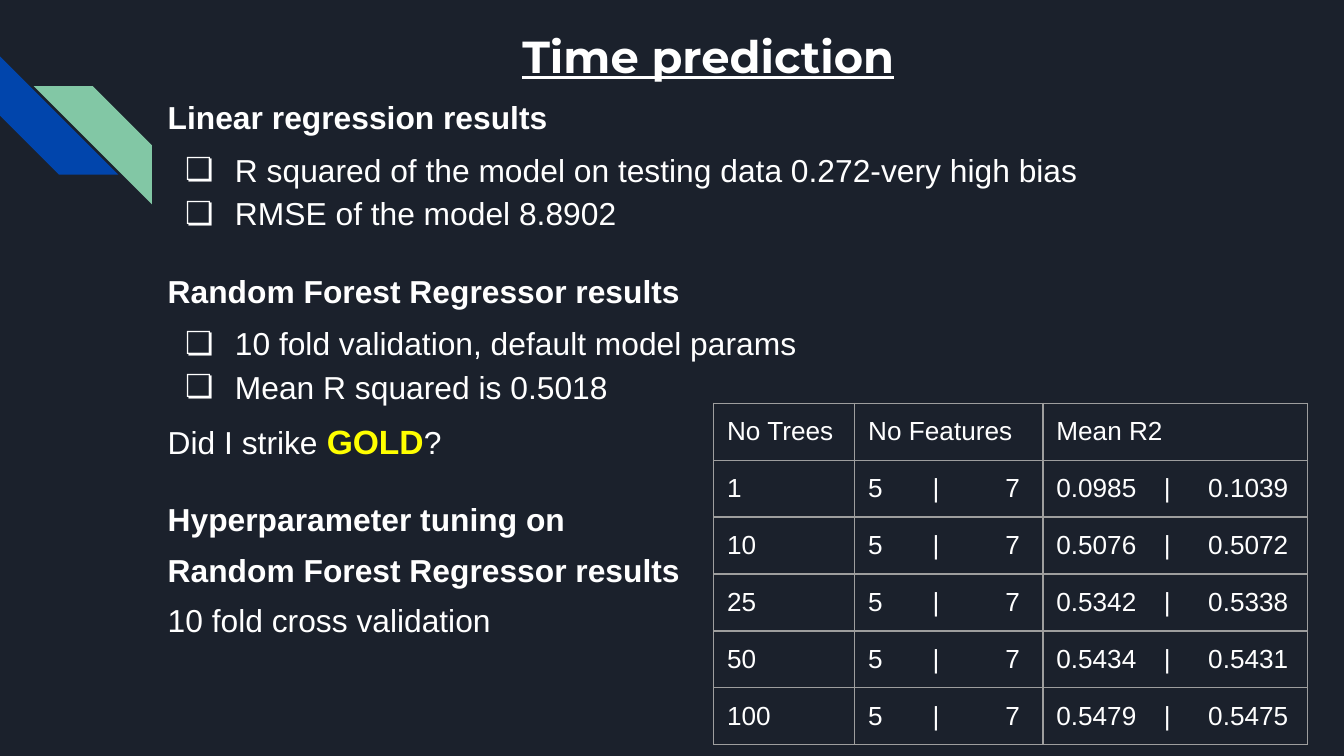
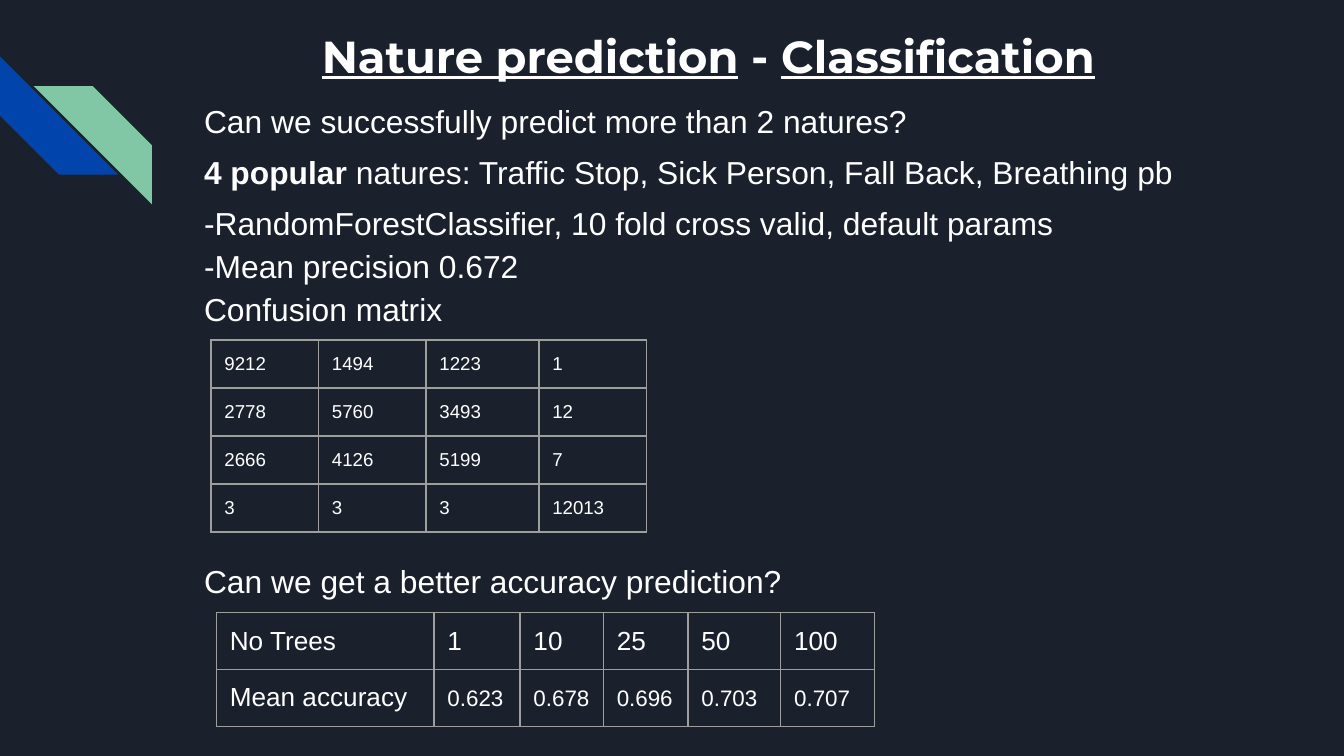
from lxml.etree import SubElement
from pptx import Presentation
from pptx.dml.color import RGBColor as Rgb
from pptx.enum.shapes import MSO_SHAPE as Preset
from pptx.enum.text import PP_ALIGN as Align
from pptx.oxml.ns import qn
from pptx.util import Inches, Pt

COLOURS = {
    "background": "1B212C",
    "text": "FFFFFF",
    "gold": "FFFF00",
    "blue": "0145AC",
    "green": "82C7A5",
    "border": "9E9E9E",
}
BODY = {"name": "Arial", "size": Pt(17), "bold": False}
HEADING = {"bold": True}
TITLE = {"name": "Montserrat", "size": Pt(24), "bold": True, "underline": True}
INSET = 0.1


def colour(name):
    return Rgb.from_string(COLOURS[name])


def set_values(target, values):
    for name, value in values.items():
        setattr(target, name, value)


def set_insets(target, bottom=INSET):
    for side in ("left", "top", "right"):
        setattr(target, f"margin_{side}", Inches(INSET))
    target.margin_bottom = Inches(bottom)


# Text: a line is a list of (text, format) spans
def write_spans(para, spans, base):
    for text, changes in spans:
        span = para.add_run()
        span.text = text
        values = {**base, **changes}
        span.font.color.rgb = colour(values.pop("colour", "text"))
        set_values(span.font, values)


def add_bullet(para):
    props = para._p.get_or_add_pPr()
    props.set("marL", str(Inches(0.5)))
    props.set("indent", str(Inches(-0.37)))
    bullet_colour = SubElement(props, qn("a:buClr"))
    SubElement(bullet_colour, qn("a:srgbClr"), val=COLOURS["text"])
    SubElement(props, qn("a:buSzPts"), val="1700")
    SubElement(props, qn("a:buFont"), typeface=BODY["name"])
    SubElement(props, qn("a:buChar"), char="❏")


def add_tabs(para, stops):
    tabs = SubElement(para._p.get_or_add_pPr(), qn("a:tabLst"))
    for stop in stops:
        SubElement(tabs, qn("a:tab"), pos=str(Inches(stop)), algn="l")


def add_text(page, box, lines, base=BODY):
    """Each line is (spans, paragraph format, bulleted)."""
    frame = page.shapes.add_textbox(*map(Inches, box)).text_frame
    frame.word_wrap = True
    set_insets(frame)
    for index, (spans, layout, bulleted) in enumerate(lines):
        para = frame.add_paragraph() if index else frame.paragraphs[0]
        set_values(para, layout)
        if bulleted:
            add_bullet(para)
        write_spans(para, spans, base)


def line(text, spacing=1.13, before=0, bulleted=False, **changes):
    spans = [(text, changes)] if isinstance(text, str) else text
    layout = {"line_spacing": spacing}
    if before:
        layout["space_before"] = Pt(before)
    return spans, layout, bulleted


def bullets(*texts):
    return [line(text, 1.14, 0 if index else 5, True)
            for index, text in enumerate(texts)]


# Tables
def style_cell(cell):
    set_insets(cell, bottom=0.09)
    props = cell._tc.get_or_add_tcPr()
    for side in ("L", "R", "T", "B"):
        edge = SubElement(props, qn(f"a:ln{side}"), w=str(Pt(0.75)))
        fill = SubElement(edge, qn("a:solidFill"))
        SubElement(fill, qn("a:srgbClr"), val=COLOURS["border"])
    cell.fill.background()


def add_grid(page, left, top, widths, row_height, rows, size, tab_stops=None,
             number_size=None):
    """number_size applies to the cells right of the label in the last row."""
    grid = page.shapes.add_table(
        len(rows), len(widths), Inches(left), Inches(top),
        Inches(sum(widths)), Inches(row_height * len(rows))).table
    set_values(grid, {"first_row": False, "horz_banding": False})
    for column, width in zip(grid.columns, widths):
        column.width = Inches(width)
    for r, values in enumerate(rows):
        grid.rows[r].height = Inches(row_height)
        for c, text in enumerate(values):
            cell = grid.cell(r, c)
            style_cell(cell)
            para = cell.text_frame.paragraphs[0]
            cell_size = size
            if number_size and c and r == len(rows) - 1:
                cell_size = number_size
                para.line_spacing = 1.13
            if "\t" in text:
                add_tabs(para, tab_stops[c])
            write_spans(para, [(text, {"size": Pt(cell_size)})], BODY)


# Shared page: background, corner stripes, title
def add_stripes(page, left, top):
    side = 0.88
    stripes = (("blue", 0, 0, {"rot": str(270 * 60000)}),
               ("green", 0.25, 0.22, {"flipH": "1"}))
    for name, dx, dy, turn in stripes:
        stripe = page.shapes.add_shape(
            Preset.DIAGONAL_STRIPE, Inches(left + dx), Inches(top + dy),
            Inches(side), Inches(side))
        stripe.shadow.inherit = False
        stripe.fill.solid()
        stripe.fill.fore_color.rgb = colour(name)
        stripe.line.fill.background()
        for key, value in turn.items():
            stripe._element.spPr.find(qn("a:xfrm")).set(key, value)


def add_page(deck, title):
    page = deck.slides.add_slide(deck.slide_layouts[6])
    page.background.fill.solid()
    page.background.fill.fore_color.rgb = colour("background")
    add_stripes(page, 0, 0.42)
    add_text(page, (1.42, 0.11, 7.7, 0.62),
             [(title, {"alignment": Align.CENTER}, False)], TITLE)
    return page


def time_page(deck):
    page = add_page(deck, [("Time prediction", {})])
    # Findings
    gold = {"size": Pt(18), "bold": True, "colour": "gold"}
    add_text(page, (1.15, 0.63, 8.74, 4.99), [
        line("Linear regression results", 1.0, **HEADING),
        *bullets("R squared of the model on testing data 0.272-very high bias",
                 "RMSE of the model 8.8902"),
        line("Random Forest Regressor results", 1.15, 18, **HEADING),
        *bullets("10 fold validation, default model params",
                 "Mean R squared is 0.5018"),
        line([("Did I strike ", {}), ("GOLD", gold), ("?", {})], 1.14, 5),
        line("Hyperparameter tuning on", 1.15, 18, **HEADING),
        line("Random Forest Regressor results", before=4, **HEADING),
        line("10 fold cross validation", before=4),
    ])
    # Tuning results for 5 and 7 features
    scores = [("1", "0.0985", "0.1039"), ("10", "0.5076", "0.5072"),
              ("25", "0.5342", "0.5338"), ("50", "0.5434", "0.5431"),
              ("100", "0.5479", "0.5475")]
    rows = [("No Trees", "No Features", "Mean R2")]
    rows += [(trees, "5\t|\t7", f"{five}\t|\t{seven}")
             for trees, five, seven in scores]
    add_grid(page, 5.31, 3, (1.05, 1.4, 1.97), 0.39, rows, 14,
             {1: (0.48, 1.02), 2: (0.8, 1.13)})


def nature_page(deck):
    page = add_page(deck, [("Nature prediction", {}),
                           (" - ", {"underline": False}),
                           ("Classification", {})])
    # Questions and findings
    add_text(page, (1.42, 0.62, 7.7, 1.9), [
        line("Can we successfully predict more than 2 natures?", 1.14),
        line([("4 popular", HEADING),
              (" natures: Traffic Stop, Sick Person, Fall Back, Breathing pb",
               {})], 1.14, 4),
        line("-RandomForestClassifier, 10 fold cross valid, default params",
             before=4),
        line("-Mean precision 0.672"),
        line("Confusion matrix"),
    ])
    add_text(page, (1.42, 4.04, 7.7, 0.5),
             [line("Can we get a better accuracy prediction?")])
    # Accuracy by number of trees
    add_grid(page, 1.61, 4.56, (1.62, 0.64, 0.62, 0.63, 0.69, 0.7), 0.39, [
        ("No Trees", "1", "10", "25", "50", "100"),
        ("Mean accuracy", "0.623", "0.678", "0.696", "0.703", "0.707"),
    ], 14, number_size=12)
    # Confusion matrix
    add_grid(page, 1.57, 2.53, (0.8, 0.8, 0.84, 0.8), 0.28, [
        ("9212", "1494", "1223", "1"),
        ("2778", "5760", "3493", "12"),
        ("2666", "4126", "5199", "7"),
        ("3", "3", "3", "12013"),
    ], 10)


def main():
    deck = Presentation()
    width = Inches(10)
    set_values(deck, {"slide_width": width, "slide_height": width * 9 // 16})
    time_page(deck)
    nature_page(deck)
    deck.save("out.pptx")


if __name__ == "__main__":
    main()
